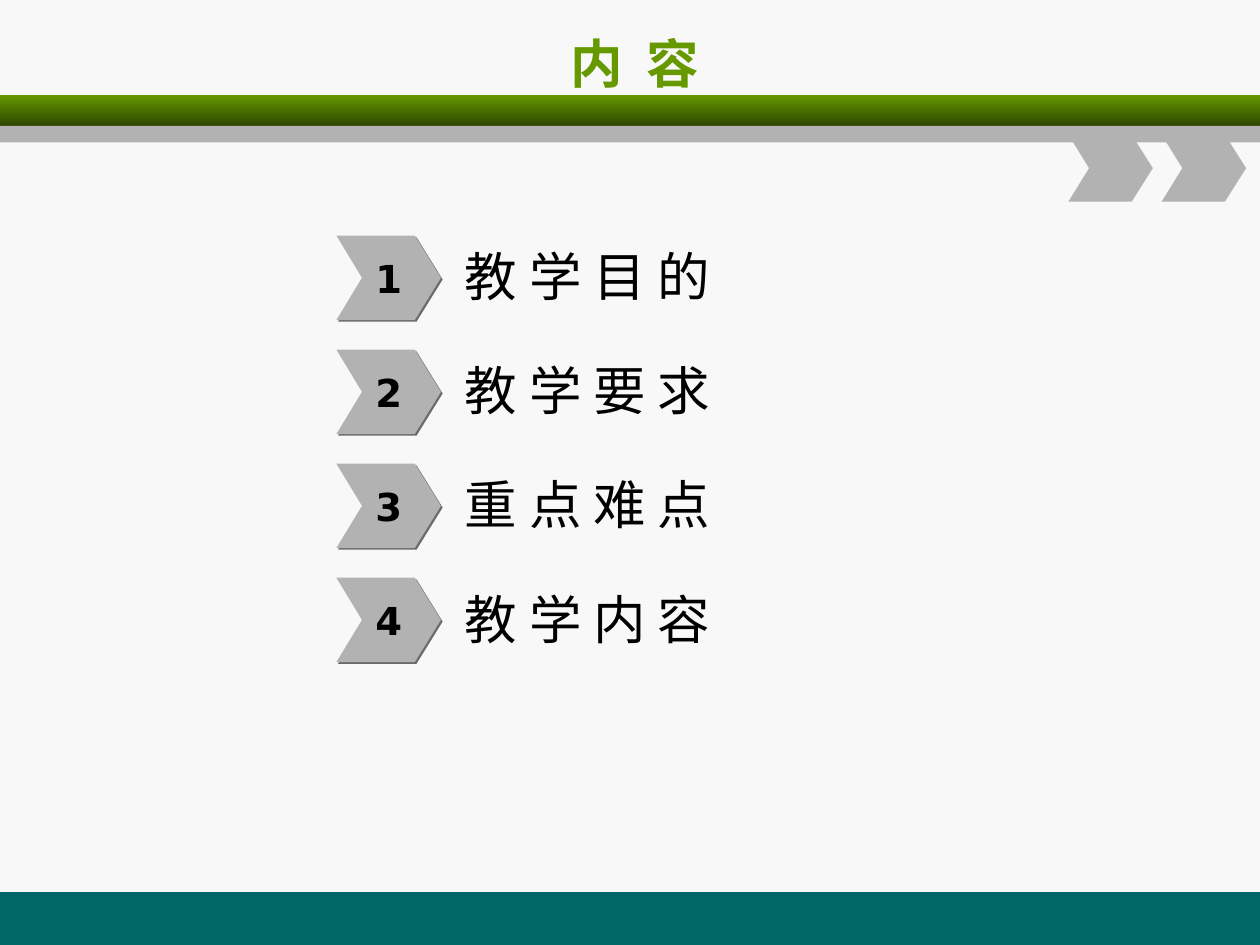
from lxml import etree
from pptx import Presentation
from pptx.dml.color import RGBColor
from pptx.enum.shapes import MSO_SHAPE
from pptx.enum.text import MSO_ANCHOR, PP_ALIGN
from pptx.oxml.ns import qn
from pptx.util import Inches, Pt

RECTANGLE = MSO_SHAPE.RECTANGLE
LEFT, CENTER = PP_ALIGN.LEFT, PP_ALIGN.CENTER
FONT = "DejaVu Sans"
GREEN, DARK_GREEN, TEAL = "669900", "2F4700", "006666"
GRAY, SHADOW, BLACK, PAPER = "B2B2B2", "6B6B6B", "000000", "F8F8F8"

TITLE = "内 容"
TOPICS = ["教 学 目 的", "教 学 要 求", "重 点 难 点", "教 学 内 容"]

WIDTH, HEIGHT = 10, 7.5
# top, height, colours (two colours make a vertical gradient)
BANDS = [
    (7.08, 0.42, [TEAL]),
    (0.75, 0.25, [GREEN, DARK_GREEN]),
    (1, 0.13, [GRAY]),
]
CORNER_LEFT, CORNER_TOP, CORNER_STEP = 8.48, 1.07, 0.74
CORNER_SIZE = (0.67, 0.53)
ROW_LEFT, ROW_TOP, ROW_STEP = 2.67, 1.87, 0.905
MARKER_SIZE = (0.83, 0.67)
LABEL_SIZE = (2.75, 0.58)


def color(hex_text):
    return RGBColor.from_string(hex_text)


def write(shape, text, size, align=LEFT, hex_color=BLACK, bold=False, indent=0.1,
          spacing=0, wrap=True):
    """Fill a shape with one formatted line; spacing is extra points per letter."""
    frame = shape.text_frame
    frame.word_wrap = wrap
    frame.vertical_anchor = MSO_ANCHOR.MIDDLE
    frame.margin_left = Inches(indent)
    paragraph = frame.paragraphs[0]
    paragraph.alignment = align
    run = paragraph.add_run()
    run.text = text
    run.font.name = FONT
    run.font.size = Pt(size)
    run.font.bold = bold
    run.font.color.rgb = color(hex_color)
    if spacing:
        run.font._element.set("spc", str(round(spacing * 100)))


def add_band(slide, top, height, colors):
    band = slide.shapes.add_shape(
        RECTANGLE, 0, Inches(top), Inches(WIDTH), Inches(height))
    band.shadow.inherit = False
    band.line.fill.background()
    if len(colors) == 1:
        band.fill.solid()
        band.fill.fore_color.rgb = color(colors[0])
    else:
        band.fill.gradient()
        band.fill.gradient_angle = 270
        for stop, hex_color in zip(band.fill.gradient_stops, colors):
            stop.color.rgb = color(hex_color)


def add_chevron(slide, left, top, width, height):
    notch, shoulder = left + width * 0.245, left + width * 0.75
    right, middle, bottom = left + width, top + height / 2, top + height
    corners = [
        (left, top), (shoulder, top), (right, middle), (shoulder, bottom),
        (left, bottom), (notch, middle)]
    start, *others = [(Inches(x), Inches(y)) for x, y in corners]
    builder = slide.shapes.build_freeform(*start)
    builder.add_line_segments(others, close=True)
    chevron = builder.convert_to_shape()
    chevron.shadow.inherit = False
    chevron.fill.solid()
    chevron.fill.fore_color.rgb = color(GRAY)
    chevron.line.fill.background()
    return chevron


def add_shadow(shape):
    effects = shape._element.spPr.find(qn("a:effectLst"))
    outer = etree.SubElement(
        effects, qn("a:outerShdw"), dist=str(Pt(1.4)), dir=str(45 * 60000),
        algn="ctr", rotWithShape="0")
    etree.SubElement(outer, qn("a:srgbClr"), val=SHADOW)


def add_topic(slide, index, topic):
    top = ROW_TOP + index * ROW_STEP
    label = slide.shapes.add_textbox(
        Inches(ROW_LEFT + MARKER_SIZE[0]), Inches(top + 0.03),
        *map(Inches, LABEL_SIZE))
    write(label, topic, 30, indent=0.19)
    marker = add_chevron(slide, ROW_LEFT, top, *MARKER_SIZE)
    add_shadow(marker)
    write(marker, str(index + 1), 22, align=CENTER, bold=True, wrap=False)


def main():
    presentation = Presentation()
    presentation.slide_width = Inches(WIDTH)
    presentation.slide_height = Inches(HEIGHT)
    slide = presentation.slides.add_slide(
        presentation.slide_layouts.get_by_name("Title Only"))
    slide.background.fill.solid()
    slide.background.fill.fore_color.rgb = color(PAPER)

    for band in BANDS:
        add_band(slide, *band)
    for column in range(2):
        add_chevron(slide, CORNER_LEFT + column * CORNER_STEP, CORNER_TOP, *CORNER_SIZE)

    title = slide.shapes.title
    title.left, title.top = Inches(0.54), Inches(0.16)
    title.width, title.height = Inches(9), Inches(0.67)
    write(title, TITLE, 30, align=CENTER, hex_color=GREEN, bold=True, spacing=3.3)

    for index, topic in enumerate(TOPICS):
        add_topic(slide, index, topic)
    presentation.save("out.pptx")


if __name__ == "__main__":
    main()
